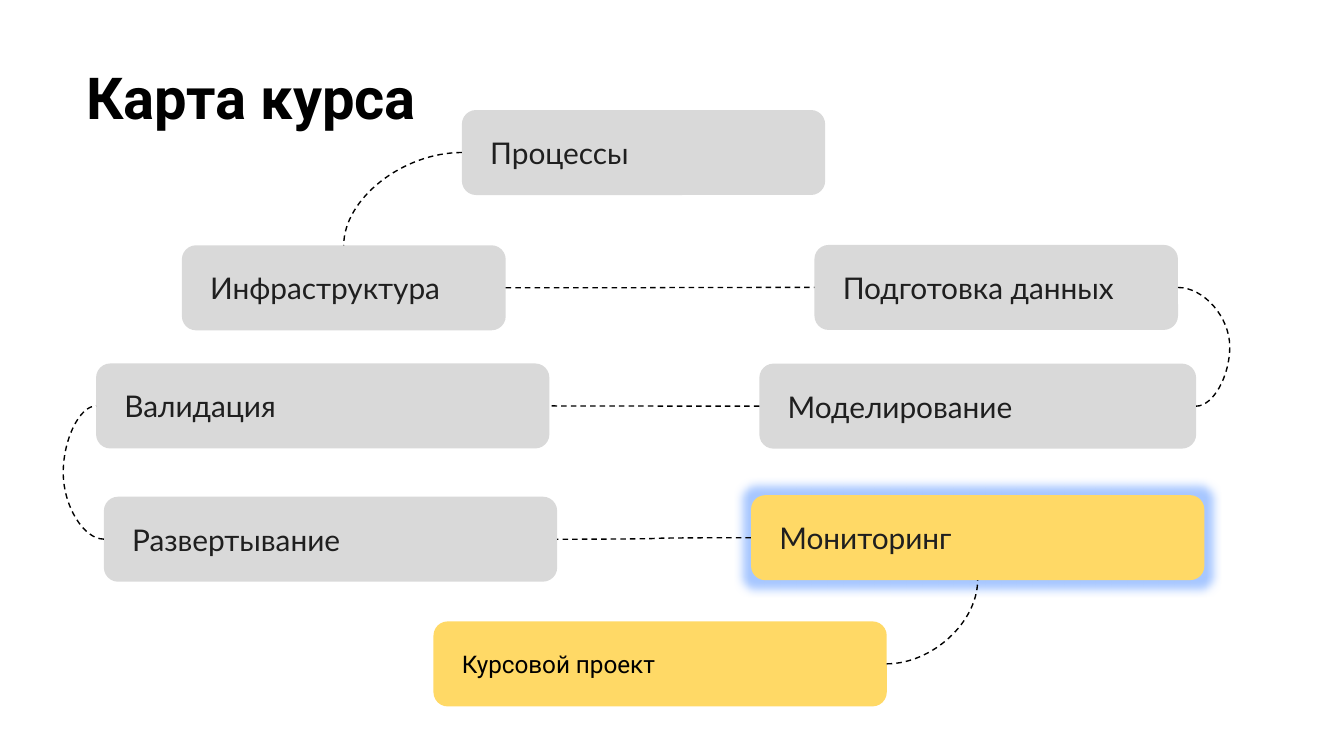
from lxml import etree
from pptx import Presentation, util as u
from pptx.dml.color import RGBColor
from pptx.enum import dml, shapes, text
from pptx.oxml.ns import qn


def color(value):
    return RGBColor.from_string(value)


def write(shape, words, size, name, ink, bold, frame_format):
    frame = shape.text_frame
    for key, value in frame_format.items():
        setattr(frame, key, value)
    paragraph = frame.paragraphs[0]
    paragraph.alignment = text.PP_ALIGN.LEFT
    run = paragraph.add_run()
    run.text = words
    font_format = {"size": u.Pt(size), "name": name, "bold": bold}
    for key, value in font_format.items():
        setattr(run.font, key, value)
    run.font.color.rgb = color(ink)


presentation = Presentation()
presentation.slide_width = u.Inches(10)
presentation.slide_height = presentation.slide_width * 9 // 16
slide = presentation.slides.add_slide(presentation.slide_layouts[6])
column = presentation.slide_width / 100
row = presentation.slide_height / 100

margins = {"margin_top": u.Inches(0.1), "margin_bottom": u.Inches(0.1), "word_wrap": True}
title_format = {**margins, "margin_left": u.Inches(0.1), "margin_right": u.Inches(0.1),
                "vertical_anchor": text.MSO_ANCHOR.TOP}
box_format = {**margins, "margin_left": u.Inches(0.18), "margin_right": u.Inches(0.18),
              "vertical_anchor": text.MSO_ANCHOR.MIDDLE}

title = slide.shapes.add_textbox(int(5.45 * column), int(6.4 * row), int(93.2 * column), int(21.35 * row))
write(title, "Карта курса", 31, "Roboto", "000000", True, title_format)

gray, yellow = "D9D9D9", "FFD966"
lesson_font = (16, "Lato", "1F1F1F")
project_font = (13, "Roboto", "000000")
stages = [
    ("Процессы", 34.37, 14.55, 27.03, gray, lesson_font),
    ("Инфраструктура", 13.53, 32.45, 24.1, gray, lesson_font),
    ("Подготовка данных", 60.6, 32.4, 27.05, gray, lesson_font),
    ("Моделирование", 56.5, 48.1, 32.5, gray, lesson_font),
    ("Валидация", 7.15, 48.08, 33.73, gray, lesson_font),
    ("Развертывание", 7.73, 65.7, 33.73, gray, lesson_font),
    ("Мониторинг", 55.88, 65.5, 33.73, yellow, lesson_font),
    ("Курсовой проект", 32.25, 82.2, 33.73, yellow, project_font),
]
boxes = {}
for words, left, top, width, fill, font in stages:
    box = slide.shapes.add_shape(shapes.MSO_SHAPE.ROUNDED_RECTANGLE, int(left * column),
                                 int(top * row), int(width * column), int(11.25 * row))
    box.adjustments[0] = 0.167
    box.shadow.inherit = False
    box.fill.solid()
    box.fill.fore_color.rgb = color(fill)
    box.line.fill.background()
    write(box, words, *font, False, box_format)
    boxes[words] = box

effects = boxes["Мониторинг"].element.spPr.find(qn("a:effectLst"))
glow = etree.SubElement(effects, qn("a:glow"), rad=str(u.Inches(0.13)))
glow_color = etree.SubElement(glow, qn("a:srgbClr"), val="4F8FFF")
etree.SubElement(glow_color, qn("a:alpha"), val="50000")

TOP, LEFT, BOTTOM, RIGHT = range(4)
shares = {TOP: (0.5, 0), LEFT: (0, 0.5), BOTTOM: (0.5, 1), RIGHT: (1, 0.5)}
links = [
    ("Процессы", LEFT, "Инфраструктура", TOP, None),
    ("Инфраструктура", RIGHT, "Подготовка данных", LEFT, None),
    ("Подготовка данных", RIGHT, "Моделирование", RIGHT, 91.5),
    ("Моделирование", LEFT, "Валидация", RIGHT, None),
    ("Развертывание", LEFT, "Валидация", LEFT, 4.7),
    ("Мониторинг", LEFT, "Развертывание", RIGHT, None),
    ("Курсовой проект", RIGHT, "Мониторинг", BOTTOM, None),
]
for start, start_side, end, end_side, bend in links:
    points = []
    for stage, side in ((start, start_side), (end, end_side)):
        box = boxes[stage]
        across, down = shares[side]
        points += [int(box.left + across * box.width), int(box.top + down * box.height)]
    connector = slide.shapes.add_connector(shapes.MSO_CONNECTOR.CURVE, *points)
    connector.line.color.rgb = color("000000")
    connector.line.width = u.Pt(0.75)
    connector.line.dash_style = dml.MSO_LINE.DASH
    properties = connector.element.spPr
    etree.SubElement(properties, qn("a:effectLst"))
    geometry = properties.find(qn("a:prstGeom"))
    if end_side in (TOP, BOTTOM):
        geometry.set("prst", "curvedConnector2")
    elif bend is not None:
        ratio = (bend * column - points[0]) / (points[2] - points[0])
        guides = geometry.find(qn("a:avLst"))
        etree.SubElement(guides, qn("a:gd"), name="adj1", fmla=f"val {round(ratio * 100000)}")

presentation.save("out.pptx")
